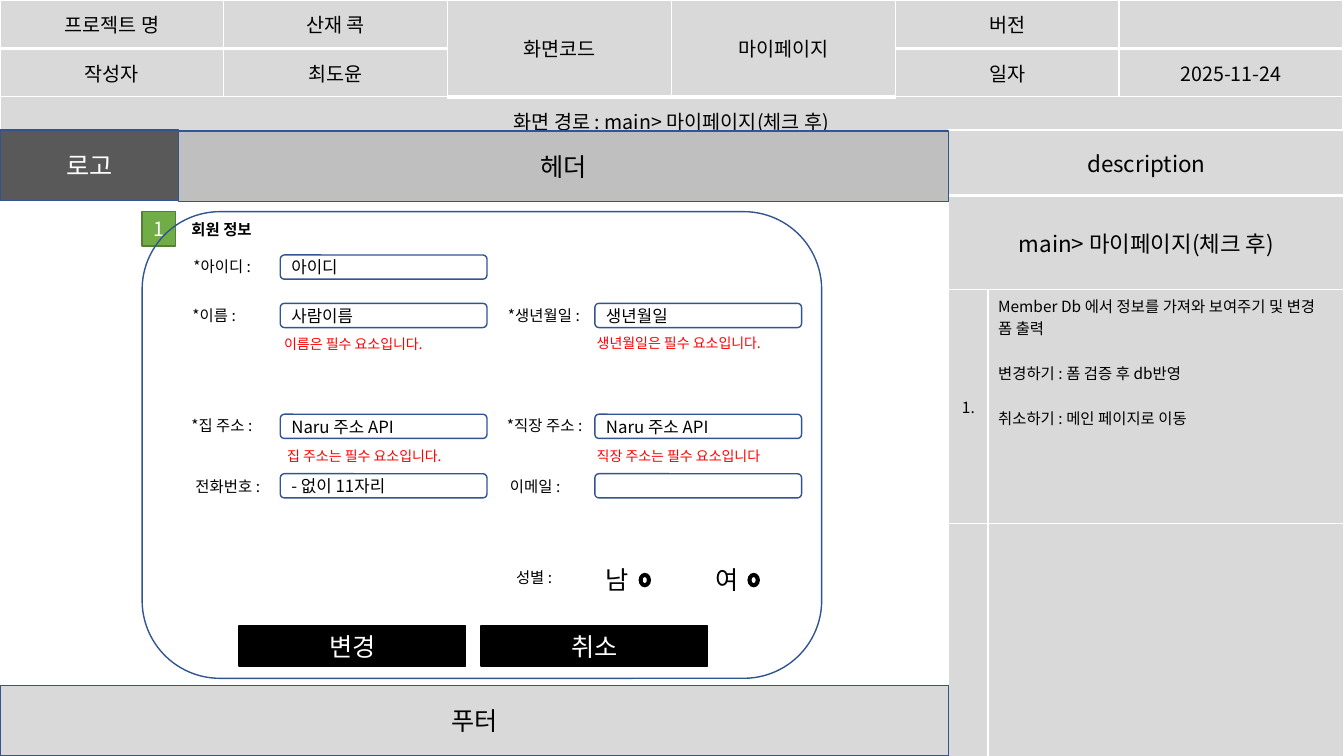
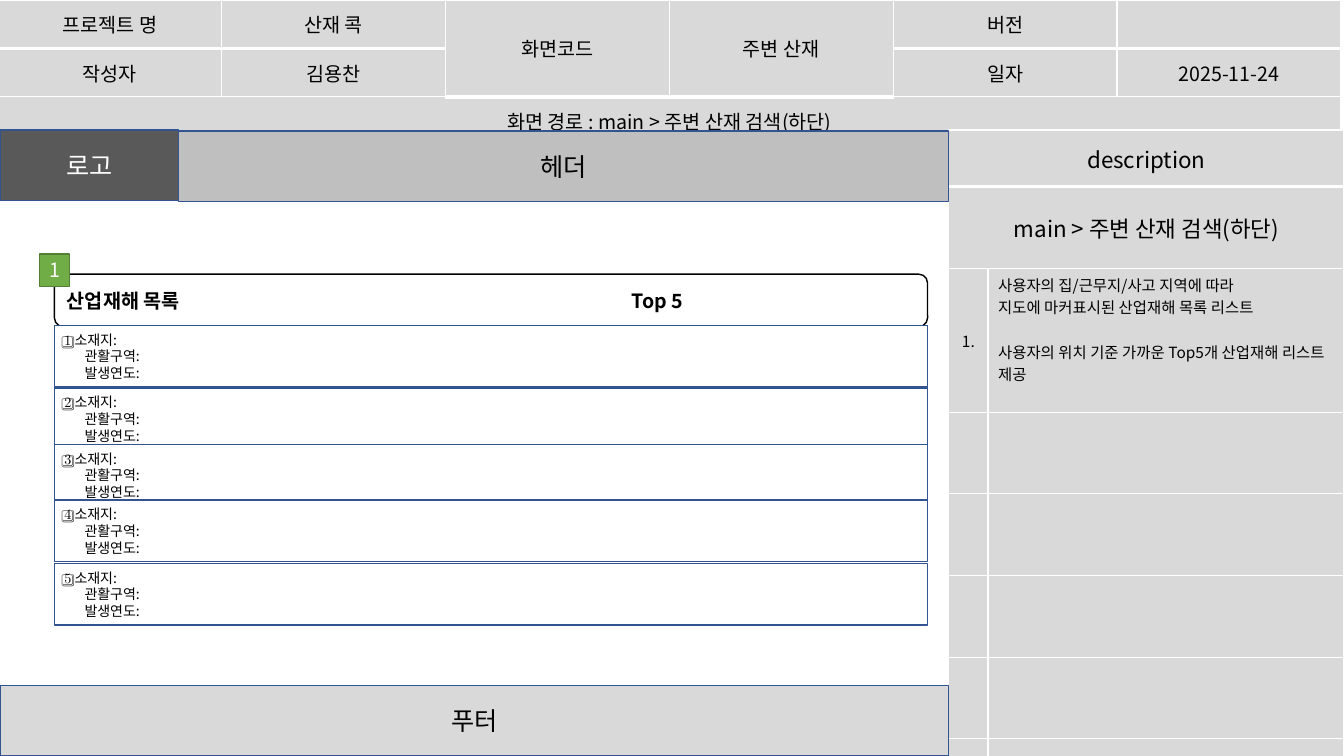
from dataclasses import dataclass
from lxml.etree import SubElement
from pptx import Presentation
from pptx.dml.color import RGBColor
from pptx.enum.shapes import MSO_SHAPE as Preset
from pptx.enum.text import MSO_ANCHOR as Anchor, PP_ALIGN as Align
from pptx.oxml.ns import qn
from pptx.util import Inches, Pt


@dataclass(frozen=True)
class Theme:
    font: str = "Noto Sans CJK KR"
    white: str = "FFFFFF"
    black: str = "000000"
    panel: str = "D9D9D9"
    header: str = "BFBFBF"
    logo: str = "595959"
    outline: str = "325491"
    badge: str = "70AD47"
    badge_line: str = "538035"
    error: str = "FF0000"
    heading: int = 18
    subheading: int = 16
    body: int = 14
    field: int = 12
    label: int = 11
    small: int = 10


theme = Theme()


def write(frame, text, size, color=theme.black, bold=False, align=Align.LEFT):
    frame.text = text
    frame.word_wrap = True
    for para in frame.paragraphs:
        para.alignment = align
        for span in para.runs:
            span.font.name = theme.font
            span.font.size = Pt(size)
            span.font.bold = bold
            span.font.color.rgb = RGBColor.from_string(color)
            east_asian = SubElement(span.font._element, qn("a:ea"))
            east_asian.set("typeface", theme.font)


def add_box(page, preset, at, fill, line, text="", size=theme.heading,
            color=theme.black, bold=False, align=Align.CENTER):
    """Add an outlined shape; a fill of None leaves it open."""
    box = page.shapes.add_shape(preset, *map(Inches, at))
    box.shadow.inherit = False
    if fill:
        box.fill.solid()
        box.fill.fore_color.rgb = RGBColor.from_string(fill)
    else:
        box.fill.background()
    box.line.color.rgb = RGBColor.from_string(line)
    box.line.width = Pt(1)
    if text:
        box.text_frame.vertical_anchor = Anchor.MIDDLE
        write(box.text_frame, text, size, color, bold, align)
    return box


deck = Presentation()
deck.slide_width, deck.slide_height = Inches(13.33), Inches(7.5)

screens = [
    dict(left=0, name="마이페이지", author="최도윤",
         route="main> 마이페이지(체크 후)",
         heights=[0.65, 0.93, 2.32, 2.32],
         notes=["Member Db 에서 정보를 가져와 보여주기 및 변경 폼 출력",
                "변경하기 : 폼 검증 후 db반영",
                "취소하기 : 메인 페이지로 이동"],
         spaced=[1, 2], badge=(1.41, 2.1, 0.33, 0.34)),
    dict(left=-0.02, name="주변 산재", author="김용찬",
         route="main > 주변 산재 검색(하단)",
         heights=[0.56, 0.81, 1.43] + [0.81] * 5,
         notes=["사용자의 집/근무지/사고 지역에 따라",
                "지도에 마커표시된 산업재해 목록 리스트",
                "사용자의 위치 기준 가까운 Top5개 산업재해 리스트 제공"],
         spaced=[2], badge=(0.39, 2.52, 0.3, 0.32)),
]

# Shared layout: information table, description panel and bands
pages = []
for screen in screens:
    page = deck.slides.add_slide(deck.slide_layouts[6])
    pages.append(page)
    info = dict(
        at=(screen["left"], 0), widths=[2.22] * 6, heights=[0.48] * 3, inset=0.08,
        sizes=[theme.body] * 3,
        merges=[((0, 2), (1, 2)), ((0, 3), (1, 3)), ((2, 0), (2, 5))],
        thick=[(0, column) for column in range(6)] + [(1, 2), (1, 3)],
        cells=[
            ["프로젝트 명", "산재 콕", "화면코드", screen["name"], "버전", ""],
            ["작성자", screen["author"], "", "", "일자", "2025-11-24"],
            [f"화면 경로 : {screen['route']}"] + [""] * 5,
        ])
    blank_rows = len(screen["heights"]) - 3
    description = dict(
        at=(9.41, 1.29), widths=[0.39, 3.53], heights=screen["heights"], inset=0.05,
        sizes=[theme.subheading] * 2 + [theme.label] * (1 + blank_rows),
        merges=[((0, 0), (0, 1)), ((1, 0), (1, 1))],
        thick=[(0, 0), (0, 1)],
        cells=[["description", ""], [screen["route"], ""],
               ["1.", "\n".join(screen["notes"])]] + [["", ""]] * blank_rows)

    for plan in (info, description):
        widths, heights, thick = plan["widths"], plan["heights"], plan["thick"]
        table = page.shapes.add_table(
            len(heights), len(widths), *map(Inches, plan["at"]),
            Inches(sum(widths)), Inches(sum(heights))).table
        table.first_row = table.horz_banding = False
        for column, width in zip(table.columns, widths):
            column.width = Inches(width)
        for row, height in zip(table.rows, heights):
            row.height = Inches(height)
        for first, last in plan["merges"]:
            table.cell(*first).merge(table.cell(*last))
        for r, texts in enumerate(plan["cells"]):
            for c, text in enumerate(texts):
                cell = table.cell(r, c)
                borders = {"L": 1, "R": 1,
                           "T": 3 if (r - 1, c) in thick else 1,
                           "B": 3 if (r, c) in thick else 1}
                for side, weight in borders.items():
                    border = SubElement(cell._tc.get_or_add_tcPr(), qn(f"a:ln{side}"))
                    border.set("w", str(Pt(weight)))
                    paint = SubElement(border, qn("a:solidFill"))
                    SubElement(paint, qn("a:srgbClr")).set("val", theme.white)
                cell.fill.solid()
                cell.fill.fore_color.rgb = RGBColor.from_string(theme.panel)
                cell.margin_left = cell.margin_right = Inches(0.1)
                cell.margin_top = cell.margin_bottom = Inches(plan["inset"])
                cell.vertical_anchor = Anchor.MIDDLE
                if text:
                    write(cell.text_frame, text, plan["sizes"][r], align=Align.CENTER)

    # The description panel is the table formatted last
    note = table.cell(2, 1)
    note.vertical_anchor = Anchor.TOP
    note.margin_right = Inches(0.15)
    for index, para in enumerate(note.text_frame.paragraphs):
        para.alignment = Align.LEFT
        if index in screen["spaced"]:
            para.space_before = Pt(16)

    for at, fill, text, color in [
            ((1.77, 1.3, 7.64, 0.7), theme.header, "헤더", theme.black),
            ((0, 1.29, 1.77, 0.7), theme.logo, "로고", theme.white),
            ((0, 6.8, 9.41, 0.7), theme.panel, "푸터", theme.black)]:
        add_box(page, Preset.RECTANGLE, at, fill, theme.outline, text, color=color)

# My page: member form
form = pages[0]
badge_style = (theme.badge, theme.badge_line, "1", theme.body, theme.white)
add_box(form, Preset.RECTANGLE, screens[0]["badge"], *badge_style)
add_box(form, Preset.ROUNDED_RECTANGLE, (1.41, 2.1, 6.74, 4.63), None, theme.outline)

for left, top, text in [
        (2.78, 2.53, "아이디"),
        (2.78, 3.01, "사람이름"), (5.9, 3.01, "생년월일"),
        (2.78, 4.11, "Naru 주소 API"), (5.9, 4.11, "Naru 주소 API"),
        (2.78, 4.7, "- 없이 11자리"), (5.9, 4.7, "")]:
    add_box(form, Preset.ROUNDED_RECTANGLE, (left, top, 2.05, 0.24), theme.white,
            theme.outline, text, theme.field, align=Align.LEFT)

labels = [
    (1.82, 2.5, "*아이디 :"),
    (1.81, 2.99, "*이름 :"), (4.94, 2.99, "*생년월일 :"),
    (1.8, 4.08, "*집 주소 :"), (4.93, 4.08, "*직장 주소 :"),
    (1.84, 4.68, "전화번호 :"), (4.96, 4.68, "이메일 :"),
    (5.02, 5.59, "성별 :"),
]
errors = [
    (2.72, 3.28, "이름은 필수 요소입니다."), (5.82, 3.27, "생년월일은 필수 요소입니다."),
    (2.75, 4.39, "집 주소는 필수 요소입니다."), (5.82, 4.39, "직장 주소는 필수 요소입니다"),
]
for entries, width, size, color, bold in [
        ([(1.8, 2.13, "회원 정보")], 1.2, theme.label, theme.black, True),
        (labels, 1.2, theme.label, theme.black, False),
        (errors, 2.3, theme.small, theme.error, False),
        ([(5.91, 5.55, "남"), (7, 5.55, "여")], 0.56, theme.heading, theme.black, False)]:
    for left, top, text in entries:
        label = form.shapes.add_textbox(*map(Inches, (left, top, width, 0.29)))
        write(label.text_frame, text, size, color, bold)

for left in (6.34, 7.42):
    add_box(form, Preset.DONUT, (left, 5.69, 0.11, 0.13), theme.black, theme.black)
for left, text in [(2.37, "변경"), (4.77, "취소")]:
    add_box(form, Preset.RECTANGLE, (left, 6.21, 2.25, 0.4), theme.black, theme.black,
            text, color=theme.white)

# Nearby accidents: top five list
listing = pages[1]
title = add_box(listing, Preset.ROUNDED_RECTANGLE, (0.54, 2.72, 8.66, 0.52), theme.white,
                theme.black, "산업재해 목록\tTop 5", theme.body, bold=True, align=Align.LEFT)
tabs = SubElement(title.text_frame.paragraphs[0]._p.get_or_add_pPr(), qn("a:tabLst"))
tab = SubElement(tabs, qn("a:tab"))
tab.set("pos", str(Inches(5.6)))
tab.set("algn", "l")

for number, top in enumerate([3.23, 3.85, 4.41, 4.96, 5.59], start=1):
    item = add_box(listing, Preset.RECTANGLE, (0.54, top, 8.66, 0.61), theme.white,
                   theme.outline, f"{number}️⃣ 소재지:\n관활구역:\n발생연도:",
                   theme.small, align=Align.LEFT)
    for para in item.text_frame.paragraphs[1:]:
        para._p.get_or_add_pPr().set("marL", str(Inches(0.2)))
add_box(listing, Preset.RECTANGLE, screens[1]["badge"], *badge_style)

deck.save("out.pptx")
